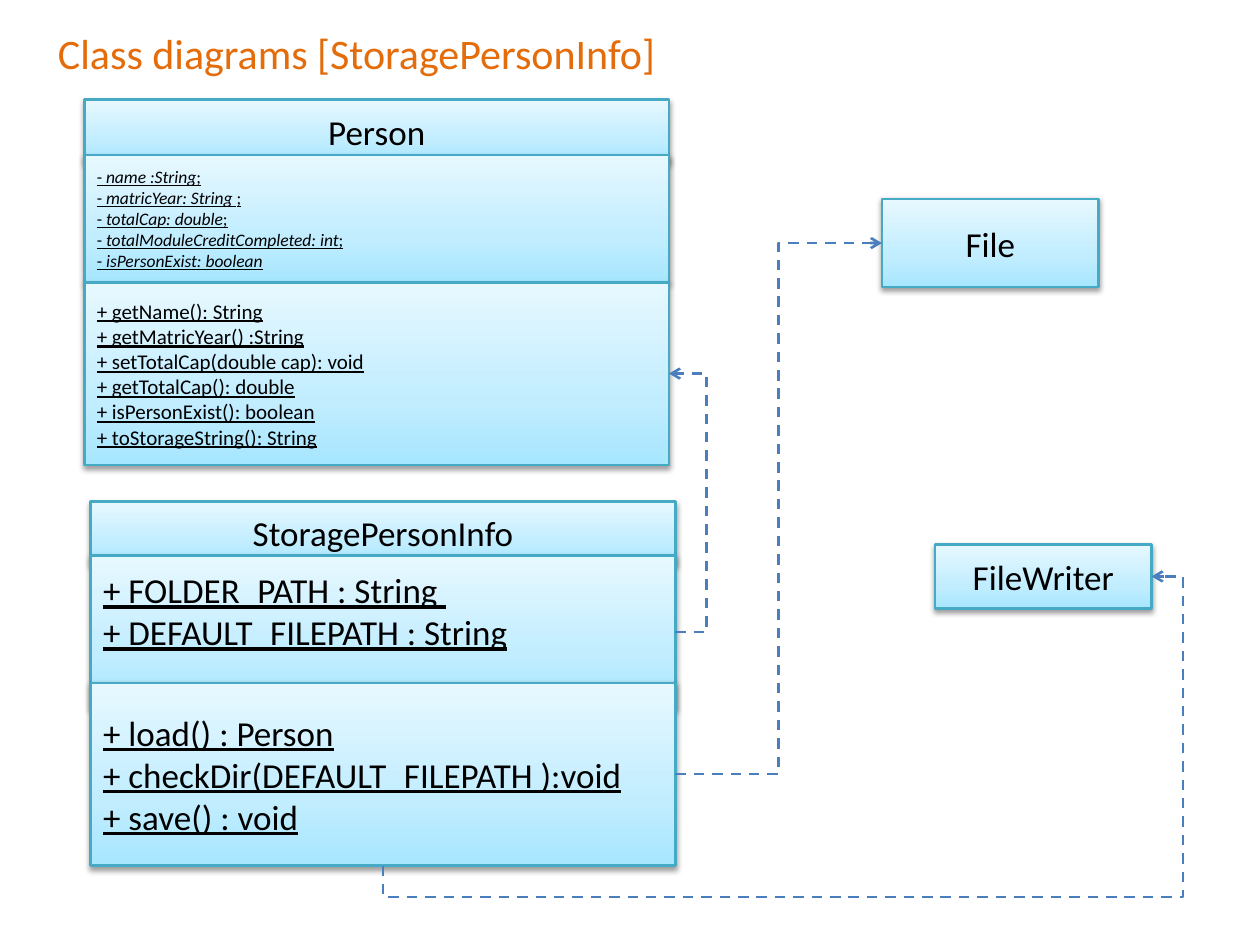
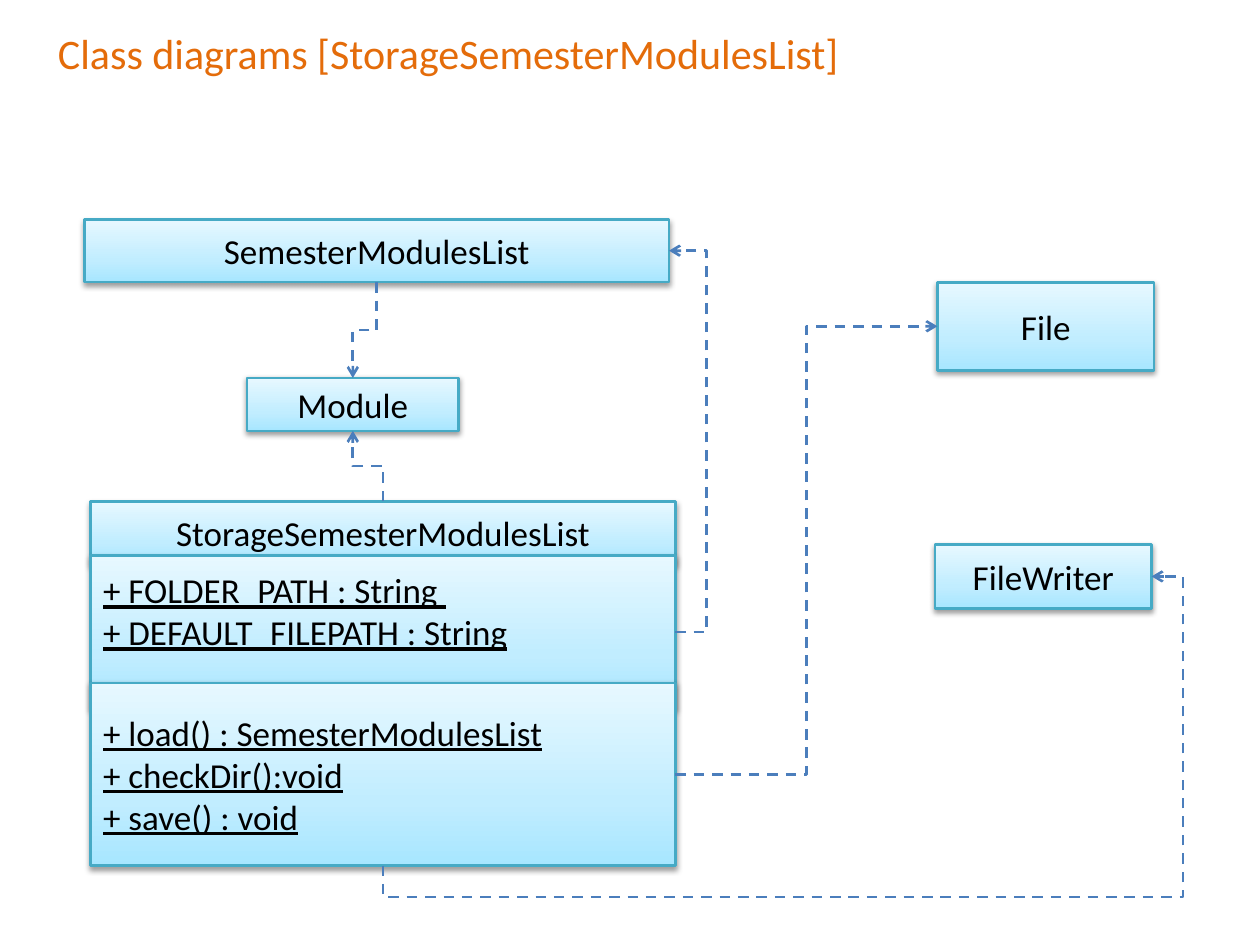
"""Build two class diagram slides with dashed dependency arrows."""
from copy import deepcopy

from lxml import etree
from pptx import Presentation
from pptx.dml.color import RGBColor
from pptx.enum.dml import MSO_LINE
from pptx.enum.shapes import MSO_CONNECTOR, MSO_SHAPE
from pptx.enum.text import MSO_ANCHOR, MSO_AUTO_SIZE, PP_ALIGN
from pptx.oxml.ns import qn
from pptx.util import Inches, Pt

RECTANGLE, ELBOW, DASH = MSO_SHAPE.RECTANGLE, MSO_CONNECTOR.ELBOW, MSO_LINE.DASH
MIDDLE, LEFT, CENTER = MSO_ANCHOR.MIDDLE, PP_ALIGN.LEFT, PP_ALIGN.CENTER
NO_AUTOFIT = MSO_AUTO_SIZE.NONE
TOP_SIDE, LEFT_SIDE, BOTTOM_SIDE, RIGHT_SIDE = range(4)

FONT = "Calibri"
ORANGE, BLACK, BORDER, ARROW = "E46C0A", "000000", "46AAC5", "4B7EBC"
GRADIENT = [(0, "A7E6FF"), (0.35, "C1EDFF"), (1, "E7F8FF")]
CLASS_WIDTH, FILE_WIDTH = 4.64, 1.72

PERSON_FIELDS = [
    [("- ", False), ("name :String", True), (";", False)],
    [("- ", False), ("matricYear: String ", True), (";", False)],
    [("- ", False), ("totalCap: double", True), (";", False)],
    [("- ", False), ("totalModuleCreditCompleted: int", True), (";", False)],
    [("- ", False), ("isPersonExist: boolean", True)],
]
PERSON_METHODS = [
    "+ getName(): String",
    "+ getMatricYear() :String",
    "+ setTotalCap(double cap): void",
    "+ getTotalCap(): double",
    "+ isPersonExist(): boolean",
    "+ toStorageString(): String",
]
STORAGE_FIELDS = ["+ FOLDER_PATH : String ", "+ DEFAULT_FILEPATH : String"]


def storage_class(name, methods):
    """Describe the storage class, whose compartments sit alike on both slides."""
    return {
        "left": 0.72,
        "compartments": [
            ("storage", 3.98, 0.5, name, 20, 0.05),
            ("storage fields", 4.41, 1.21, STORAGE_FIELDS, 20, 0.39),
            ("storage methods", 5.42, 1.45, methods, 20, 0.05),
        ],
    }


FILE_WRITER_ARROW = ("storage methods", BOTTOM_SIDE, "FileWriter", RIGHT_SIDE, (7.12, 9.39))
FILE_ARROW = ("storage methods", RIGHT_SIDE, "File", LEFT_SIDE, ())
FILE_WRITER_BOX = ("FileWriter", 7.42, 4.32, FILE_WIDTH, 0.51)

SLIDES = [
    {
        "title": "Class diagrams [StoragePersonInfo]",
        "title_width": 5.17,
        "classes": [
            storage_class("StoragePersonInfo", [
                "+ load() : Person",
                "+ checkDir(DEFAULT_FILEPATH ):void",
                "+ save() : void",
            ]),
            {
                "left": 0.67,
                "compartments": [
                    ("Person", 0.79, 0.5, "Person", 20, 0.05),
                    ("person fields", 1.23, 1.01, PERSON_FIELDS, 10, 0.05),
                    ("person methods", 2.24, 1.45, PERSON_METHODS, 12, 0.05),
                ],
            },
        ],
        "boxes": [("File", 7, 1.58, FILE_WIDTH, 0.7), FILE_WRITER_BOX],
        "arrows": [
            ("storage fields", RIGHT_SIDE, "person methods", RIGHT_SIDE, (5.61,)),
            FILE_WRITER_ARROW,
            FILE_ARROW,
        ],
    },
    {
        "title": "Class diagrams [StorageSemesterModulesList]",
        "title_width": 7.64,
        "classes": [
            storage_class("StorageSemesterModulesList", [
                "+ load() : SemesterModulesList",
                "+ checkDir():void",
                "+ save() : void",
            ]),
        ],
        "boxes": [
            ("SemesterModulesList", 0.67, 1.74, CLASS_WIDTH, 0.5),
            FILE_WRITER_BOX,
            ("Module", 1.96, 3, 1.68, 0.42),
            ("File", 7.44, 2.24, FILE_WIDTH, 0.7),
        ],
        "arrows": [
            ("storage fields", RIGHT_SIDE, "SemesterModulesList", RIGHT_SIDE, (5.61,)),
            FILE_WRITER_ARROW,
            FILE_ARROW,
            ("SemesterModulesList", BOTTOM_SIDE, "Module", TOP_SIDE, ()),
            ("storage", TOP_SIDE, "Module", BOTTOM_SIDE, ()),
        ],
    },
]


def color(value):
    """Turn a hex string into a colour."""
    return RGBColor.from_string(value)


def add_element(parent, tag, **attributes):
    """Append an XML element with the given attributes."""
    element = etree.SubElement(parent, qn(tag))
    for name, value in attributes.items():
        element.set(name, str(value))
    return element


def style_run(run, size, value, underline=False, italic=False):
    """Format one run of text."""
    font = run.font
    font.name, font.size, font.color.rgb = FONT, Pt(size), color(value)
    font.underline, font.italic = underline, italic


def paint_box(shape):
    """Give a box its gradient, border and soft shadow."""
    properties = shape._element.spPr
    shape.fill.gradient()
    shape.fill.gradient_angle = 90
    stops = properties.find(qn("a:gradFill")).find(qn("a:gsLst"))
    stops.append(deepcopy(stops[-1]))
    for stop, (position, value) in zip(shape.fill.gradient_stops, GRADIENT):
        stop.position, stop.color.rgb = position, color(value)
    shape.line.color.rgb = color(BORDER)
    shape.line.width = Pt(1.5)
    shape.shadow.inherit = False
    shadow = add_element(properties.find(qn("a:effectLst")), "a:outerShdw", blurRad=Pt(3.15),
                         dist=Pt(1.57), dir=5400000, rotWithShape=0)
    add_element(add_element(shadow, "a:srgbClr", val=BLACK), "a:alpha", val=38000)


def add_box(shapes, box, content, size=20, bottom_margin=0.05):
    """Add a box with a centred name or a list of underlined members."""
    shape = shapes.add_shape(RECTANGLE, *map(Inches, box))
    paint_box(shape)
    frame = shape.text_frame
    frame.word_wrap, frame.vertical_anchor = True, MIDDLE
    frame.margin_bottom = Inches(bottom_margin)
    is_name = isinstance(content, str)
    for index, line in enumerate([content] if is_name else content):
        paragraph = frame.add_paragraph() if index else frame.paragraphs[0]
        paragraph.alignment = CENTER if is_name else LEFT
        for text, italic in [(line, False)] if isinstance(line, str) else line:
            run = paragraph.add_run()
            run.text = text
            style_run(run, size, BLACK, not is_name, italic)
    return shape


def route(connector, vertical, lanes):
    """Bend a connector through its lanes, starting vertically or horizontally."""
    begin = (connector.begin_x, connector.begin_y)
    end = (connector.end_x, connector.end_y)
    spans = [abs(end[axis] - begin[axis]) for axis in (0, 1)]
    center = [(begin[axis] + end[axis]) // 2 for axis in (0, 1)]
    flip_h, flip_v, rotation = end[0] < begin[0], end[1] < begin[1], 0
    if vertical:
        flip_h, flip_v, rotation = end[1] < begin[1], end[0] > begin[0], 90
        spans.reverse()
        if flip_h and not flip_v:
            flip_h, flip_v, rotation = False, True, 270
    connector.width, connector.height = spans
    connector.left, connector.top = (center[axis] - spans[axis] // 2 for axis in (0, 1))
    properties = connector._element.spPr
    transform = properties.find(qn("a:xfrm"))
    transform.set("rot", str(rotation * 60000))
    transform.set("flipH", str(int(flip_h)))
    transform.set("flipV", str(int(flip_v)))

    geometry = properties.find(qn("a:prstGeom"))
    geometry.set("prst", f"bentConnector{max(len(lanes), 1) + 2}")
    guides = geometry.find(qn("a:avLst"))
    if guides is None:
        guides = add_element(geometry, "a:avLst")
    for index, lane in enumerate(lanes):
        axis = (index + vertical) % 2
        share = (Inches(lane) - begin[axis]) / (end[axis] - begin[axis])
        add_element(guides, "a:gd", name=f"adj{index + 1}", fmla=f"val {round(share * 100000)}")


def add_arrow(slide, start, start_side, target, target_side, lanes):
    """Add a dashed elbow arrow joined to two boxes."""
    connector = slide.shapes.add_connector(ELBOW, 0, 0, 0, 0)
    connector.begin_connect(start, start_side)
    connector.end_connect(target, target_side)
    route(connector, start_side in (TOP_SIDE, BOTTOM_SIDE), lanes)
    line = connector.line
    line.color.rgb, line.width, line.dash_style = color(ARROW), Pt(1.5), DASH
    properties = connector._element.spPr
    add_element(properties.find(qn("a:ln")), "a:tailEnd", type="arrow")
    add_element(properties, "a:effectLst")


def add_title(slide, text, width):
    """Place and format the slide title."""
    title = slide.shapes.title
    title.left, title.top, title.width, title.height = map(Inches, (0.36, 0.21, width, 0.41))
    frame = title.text_frame
    frame.text = text
    frame.word_wrap, frame.auto_size, frame.vertical_anchor = True, NO_AUTOFIT, MIDDLE
    paragraph = frame.paragraphs[0]
    paragraph.alignment = LEFT
    style_run(paragraph.runs[0], 24, ORANGE)


def add_diagram(presentation, diagram):
    """Add one slide with its classes, boxes and arrows."""
    slide = presentation.slides.add_slide(presentation.slide_layouts[5])
    add_title(slide, diagram["title"], diagram["title_width"])
    boxes = {}
    for class_box in diagram["classes"]:
        group = slide.shapes.add_group_shape()
        for key, top, height, content, size, bottom_margin in class_box["compartments"]:
            box = (class_box["left"], top, CLASS_WIDTH, height)
            boxes[key] = add_box(group.shapes, box, content, size, bottom_margin)
    for name, *box in diagram["boxes"]:
        boxes[name] = add_box(slide.shapes, box, name)
    for start, start_side, target, target_side, lanes in diagram["arrows"]:
        add_arrow(slide, boxes[start], start_side, boxes[target], target_side, lanes)


def main():
    """Build and save the presentation."""
    presentation = Presentation()
    presentation.slide_width, presentation.slide_height = Inches(10), Inches(7.5)
    for diagram in SLIDES:
        add_diagram(presentation, diagram)
    presentation.save("out.pptx")


if __name__ == "__main__":
    main()
